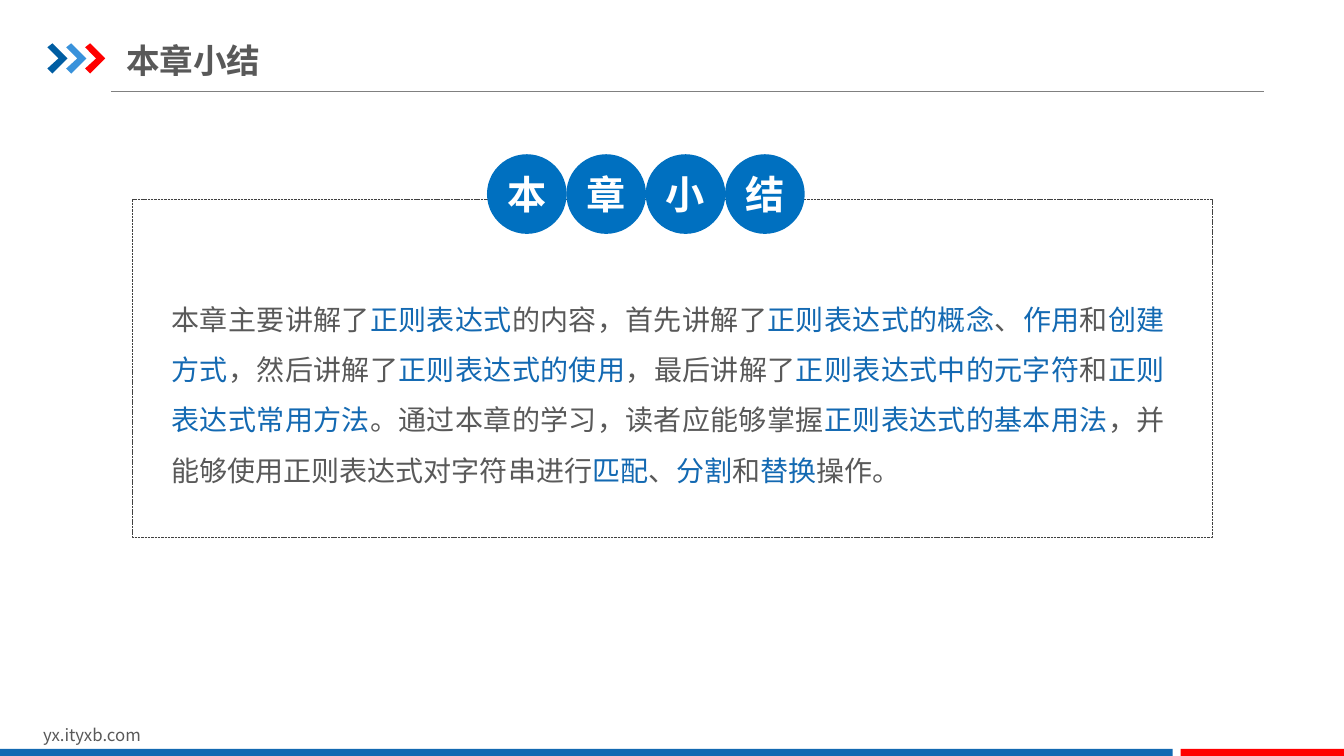
from lxml import etree
from pptx import Presentation
from pptx.dml.color import RGBColor
from pptx.enum import dml, shapes, text
from pptx.oxml.ns import qn
from pptx.util import Inches, Pt

FONT = "Noto Sans CJK SC"
COLORS = {
    "text": "595959", "accent": "1369B2", "badge": "0070C0", "white": "FFFFFF",
    "red": "FF0000", "navy": "005DA2", "sky": "3992DB", "rule": "808080",
    "frame": "404040",
}
TITLE = "本章小结"
SITE = "yx.ityxb.com"
# Plain and highlighted passages alternate, starting with a plain one.
SUMMARY = [
    "本章主要讲解了", "正则表达式", "的内容，首先讲解了", "正则表达式的概念", "、",
    "作用", "和", "创建方式", "，然后讲解了", "正则表达式的使用", "，最后讲解了",
    "正则表达式中的元字符", "和", "正则表达式常用方法",
    "。通过本章的学习，读者应能够掌握", "正则表达式的基本用法",
    "，并能够使用正则表达式对字符串进行", "匹配", "、", "分割", "和", "替换", "操作。",
]
CHEVRONS = ["navy", "sky", "red"]
CHEVRON_POINTS = [(0, 0.04), (0.05, 0), (0.2, 0.15), (0.05, 0.3), (0, 0.25), (0.11, 0.15)]
FOOTER_BARS = [(0, 11.63, "accent"), (11.71, 1.63, "red")]
BADGE_SIZE, BADGE_STEP = 0.79, 0.787


def rgb(name):
    return RGBColor.from_string(COLORS[name])


def inches(box):
    return [Inches(v) for v in box]


def fill_plain(sp, color):
    sp.shadow.inherit = False
    sp.fill.solid()
    sp.fill.fore_color.rgb = rgb(color)
    sp.line.fill.background()


def add_run(p, words, size, color="text", bold=False):
    r = p.add_run()
    r.text = words
    r.font.color.rgb = rgb(color)
    for name, value in {"size": Pt(size), "bold": bold, "name": FONT}.items():
        setattr(r.font, name, value)
    etree.SubElement(r.font._element, qn("a:ea"), typeface=FONT)


def format_frame(tf, inset_x, inset_y, anchor):
    settings = {
        "word_wrap": True, "auto_size": text.MSO_AUTO_SIZE.NONE,
        "vertical_anchor": anchor,
        "margin_left": Inches(inset_x), "margin_right": Inches(inset_x),
        "margin_top": Inches(inset_y), "margin_bottom": Inches(inset_y),
    }
    for name, value in settings.items():
        setattr(tf, name, value)
    return tf.paragraphs[0]


def add_header(slide):
    title = slide.shapes.title
    title.left, title.top, title.width, title.height = inches((1.25, 0.36, 5.26, 0.48))
    p = format_frame(title.text_frame, 0, 0.07, text.MSO_ANCHOR.MIDDLE)
    p.alignment = text.PP_ALIGN.LEFT
    add_run(p, TITLE, 24, bold=True)

    rule = slide.shapes.add_connector(
        shapes.MSO_CONNECTOR.STRAIGHT, *inches((1.1, 0.91, 12.54, 0.91)))
    rule.line.color.rgb = rgb("rule")
    rule.line.width = Pt(0.75)
    etree.SubElement(rule._element.spPr, qn("a:effectLst"))

    for i, color in enumerate(CHEVRONS):
        points = [inches((0.47 + 0.187 * i + x, 0.43 + y)) for x, y in CHEVRON_POINTS]
        builder = slide.shapes.build_freeform(*points[0])
        builder.add_line_segments(points[1:], close=True)
        fill_plain(builder.convert_to_shape(), color)


def add_footer(slide):
    site = slide.shapes.add_textbox(*inches((0.33, 7.14, 3.18, 0.3)))
    add_run(format_frame(site.text_frame, 0.1, 0.05, text.MSO_ANCHOR.TOP), SITE, 12)
    for left, width, color in FOOTER_BARS:
        bar = slide.shapes.add_shape(
            shapes.MSO_SHAPE.RECTANGLE, *inches((left, 7.43, width, 0.09)))
        fill_plain(bar, color)


def add_summary(slide):
    frame = slide.shapes.add_shape(
        shapes.MSO_SHAPE.ROUNDED_RECTANGLE, *inches((1.31, 1.98, 10.71, 3.35)))
    frame.adjustments[0] = 0
    frame.shadow.inherit = False
    frame.fill.background()
    frame.line.color.rgb = rgb("frame")
    frame.line.width = Pt(0.25)
    frame.line.dash_style = dml.MSO_LINE.SQUARE_DOT

    body = slide.shapes.add_textbox(*inches((1.7, 2.83, 9.85, 2.02)))
    p = format_frame(body.text_frame, 0, 0, text.MSO_ANCHOR.TOP)
    p.alignment = text.PP_ALIGN.JUSTIFY
    p.line_spacing = Pt(36)
    for i, words in enumerate(SUMMARY):
        add_run(p, words, 20, "accent" if i % 2 else "text")


def add_badges(slide):
    for i, letter in enumerate(TITLE):
        badge = slide.shapes.add_shape(
            shapes.MSO_SHAPE.OVAL,
            *inches((4.83 + BADGE_STEP * i, 1.53, BADGE_SIZE, BADGE_SIZE)))
        fill_plain(badge, "badge")
        p = format_frame(badge.text_frame, 0, 0.05, text.MSO_ANCHOR.MIDDLE)
        p.alignment = text.PP_ALIGN.CENTER
        add_run(p, letter, 28, "white", bold=True)


def main():
    prs = Presentation()
    prs.slide_width, prs.slide_height = inches((13.33, 7.5))
    slide = prs.slides.add_slide(prs.slide_layouts[5])
    add_header(slide)
    add_footer(slide)
    add_summary(slide)
    add_badges(slide)
    prs.save("out.pptx")


if __name__ == "__main__":
    main()
